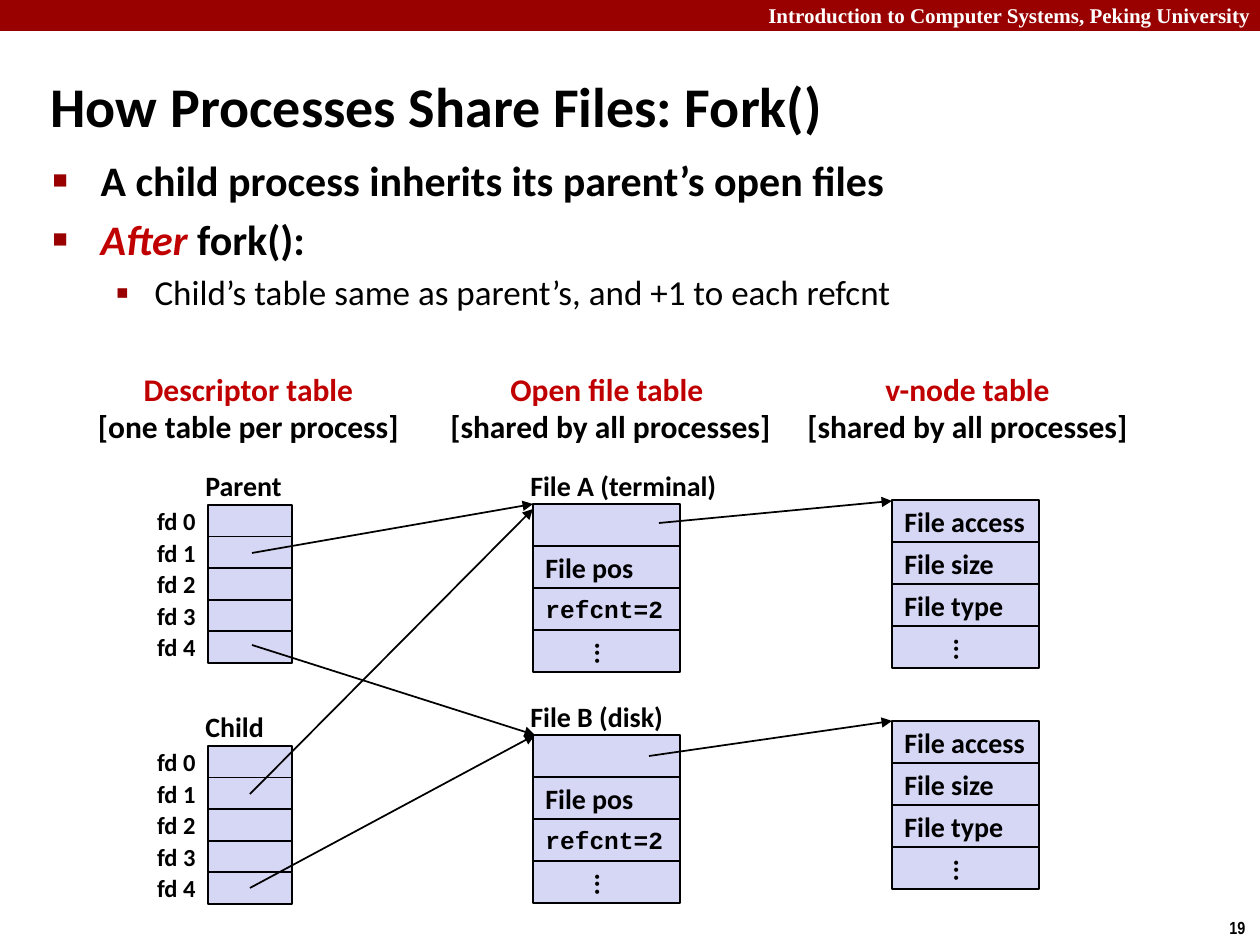
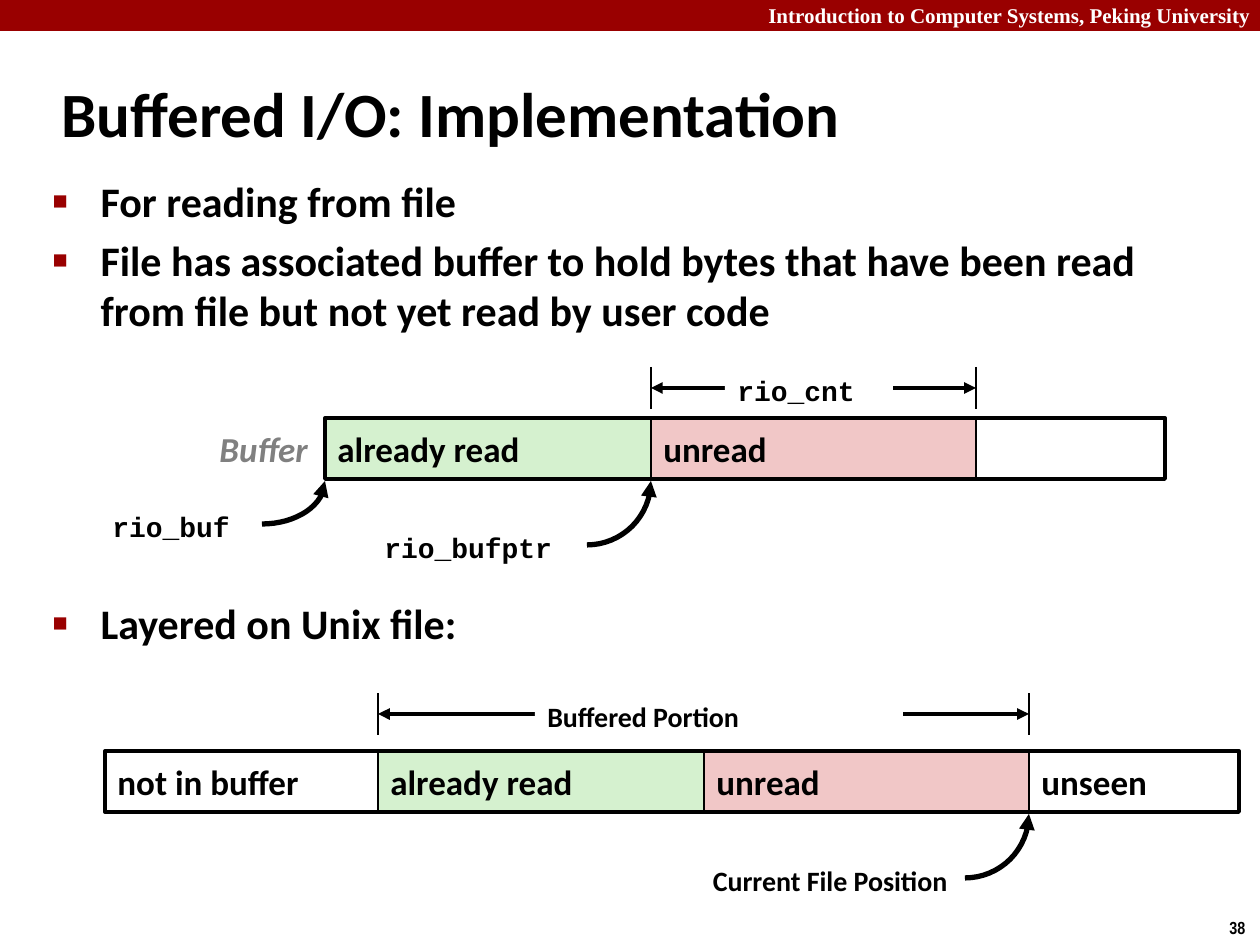
from math import cos, pi, sin

from lxml import etree
from pptx import Presentation
from pptx.dml.color import RGBColor
from pptx.enum.shapes import MSO_CONNECTOR, MSO_SHAPE
from pptx.enum.text import MSO_ANCHOR, MSO_AUTO_SIZE, PP_ALIGN
from pptx.oxml.ns import qn
from pptx.util import Emu, Pt

RECT = MSO_SHAPE.RECTANGLE
LINE = MSO_CONNECTOR.STRAIGHT
LEFT, MID, RIGHT = PP_ALIGN.LEFT, PP_ALIGN.CENTER, PP_ALIGN.RIGHT
TOP, CENTER = MSO_ANCHOR.TOP, MSO_ANCHOR.MIDDLE
FIXED = MSO_AUTO_SIZE.NONE

BLACK = RGBColor(0x00, 0x00, 0x00)
WHITE = RGBColor(0xFF, 0xFF, 0xFF)
GRAY = RGBColor(0x80, 0x80, 0x80)
MAROON = RGBColor(0x99, 0x00, 0x00)
RED = RGBColor(0xC0, 0x00, 0x00)
LILAC = RGBColor(0xD6, 0xD6, 0xF5)
GREEN = RGBColor(0xD5, 0xF1, 0xCF)
PINK = RGBColor(0xF1, 0xC7, 0xC7)

SANS, MONO = "Calibri", "Courier New"
SERIF, SMALL = "Times New Roman", "Arial Narrow"

# Bullet per level: sign, size in percent, left indent, hanging indent, point size
BULLETS = [("■", 60, 48, 48, 24), ("▪", 110, 102, 39, 20)]


def px(n):
    return Emu(round(n * 914400 / 126))


def place(shape, box):
    shape.left, shape.top, shape.width, shape.height = map(px, box)


def style(run, size, color=BLACK, font=SANS, bold=True, italic=False):
    run.font.size = Pt(size)
    run.font.name = font
    run.font.bold = bold
    run.font.italic = italic
    run.font.color.rgb = color


def write(shape, text, size, color=BLACK, font=SANS, align=LEFT, anchor=CENTER,
          italic=False):
    frame = shape.text_frame
    frame.text = text
    frame.word_wrap = False
    frame.vertical_anchor = anchor
    for para in frame.paragraphs:
        para.alignment = align
        for run in para.runs:
            style(run, size, color, font, italic=italic)
    return frame


def label(slide, box, text, size=16, **look):
    return write(slide.shapes.add_textbox(*map(px, box)), text, size, **look)


def block(slide, box, fill=None, width=1):
    shape = slide.shapes.add_shape(RECT, *map(px, box))
    shape.shadow.inherit = False
    if fill is None:
        shape.fill.background()
    else:
        shape.fill.solid()
        shape.fill.fore_color.rgb = fill
    if width:
        shape.line.color.rgb = BLACK
        shape.line.width = Pt(width)
    else:
        shape.line.fill.background()
    return shape


def tips(shape, *ends):
    ln = shape._element.spPr.find(qn("a:ln"))
    for end in ends:
        etree.SubElement(ln, qn("a:" + end), type="triangle")


def line(slide, start, end, width=1, ends=()):
    link = slide.shapes.add_connector(LINE, *map(px, start + end))
    link.line.color.rgb = BLACK
    link.line.width = Pt(width)
    tips(link, *ends)
    etree.SubElement(link._element.spPr, qn("a:effectLst"))


# Parts shared by all slides
def base(deck, number, title, box, size):
    slide = deck.slides.add_slide(deck.slide_layouts[1])
    block(slide, (0, 0, 1260, 31), MAROON, 0)
    head = label(slide, (756, -4, 504, 38),
                 "Introduction to Computer Systems, Peking University", 12,
                 color=WHITE, font=SERIF, anchor=TOP)
    head.margin_right = 0
    label(slide, (1217, 911, 43, 34), str(number), 10, font=SMALL, anchor=TOP)
    place(slide.shapes.title, box)
    frame = write(slide.shapes.title, title, size)
    frame.word_wrap = True
    frame.auto_size = FIXED
    return slide


def bullet(para, level):
    sign, size, left, hang, _ = BULLETS[level]
    props = para._p.get_or_add_pPr()
    props.set("marL", str(px(left)))
    props.set("indent", str(-px(hang)))
    color = etree.SubElement(props, qn("a:buClr"))
    etree.SubElement(color, qn("a:srgbClr"), val=str(MAROON))
    etree.SubElement(props, qn("a:buSzPct"), val=str(size * 1000))
    etree.SubElement(props, qn("a:buChar"), char=sign)


def body(slide, box, items):
    """Each item is level, space before in points, accent text, plain text."""
    holder = slide.placeholders[1]
    place(holder, box)
    frame = holder.text_frame
    frame.auto_size = FIXED
    frame.vertical_anchor = TOP
    for i, (level, gap, accent, text) in enumerate(items):
        para = frame.add_paragraph() if i else frame.paragraphs[0]
        para.level = level
        para.space_before = Pt(gap)
        bullet(para, level)
        size = BULLETS[level][-1]
        if accent:
            run = para.add_run()
            run.text = accent
            style(run, size, RED, italic=True)
        run = para.add_run()
        run.text = text
        style(run, size, bold=level == 0)


# Slide with descriptor, open file and v-node tables
def stack(slide, box, rows):
    x, y, w, h = box
    step = h / len(rows)
    for i, text in enumerate(rows):
        cell = block(slide, (x, y + i * step, w, step), LILAC)
        if text.startswith("refcnt"):
            write(cell, text, 14, font=MONO)
        elif text:
            write(cell, text, 16)
        if text == "...":
            cell.text_frame._txBody.bodyPr.set("vert", "eaVert")


def process(slide, x, y, name, up):
    label(slide, (x - 15, y - up, 102, 47), name)
    stack(slide, (x, y, 84, 158), [""] * 5)
    for i in range(5):
        label(slide, (x - 84, y + i * 31.5, 84, 31.5), f"fd {i}", 14, align=RIGHT)


def entry(slide, x, y, name, width):
    label(slide, (x - 15, y - 42, width, 47), name)
    stack(slide, (x, y, 147, 168), ["", "File pos", "refcnt=2", "..."])


def fork(deck):
    slide = base(deck, 19, "How Processes Share Files: Fork()",
                 (38, 53, 1046, 105), 32)
    body(slide, (40, 148, 1145, 179), [
        (0, 0, "", "A child process inherits its parent’s open files"),
        (0, 5, "After", " fork():"),
        (1, 4, "", "Child’s table same as parent’s, and +1 to each refcnt"),
    ])
    # Column heads
    heads = [(84, 329, "Descriptor table", "[one table per process]"),
             (436, 349, "Open file table ", "[shared by all processes]"),
             (793, 349, "v-node table", "[shared by all processes]")]
    for x, w, name, note in heads:
        frame = label(slide, (x, 363, w, 89), f"{name}\n{note}", 18, align=MID)
        frame.paragraphs[0].runs[0].font.color.rgb = RED
    # Tables
    process(slide, 208, 505, "Parent", 43)
    process(slide, 208, 746, "Child", 43)
    entry(slide, 533, 504, "File A (terminal)", 213)
    entry(slide, 533, 735, "File B (disk)", 160)
    for y in (500, 721):
        stack(slide, (892, y, 147, 168),
              ["File access", "File size", "File type", "..."])
    # Pointers
    links = [((252, 553), (533, 504)), ((252, 645), (535, 735)),
             ((250, 794), (533, 509)), ((250, 888), (535, 735)),
             ((659, 523), (892, 501)), ((649, 756), (892, 721))]
    for start, end in links:
        line(slide, start, end, ends=["tailEnd"])


# Slide with the buffer and the file below it
def strip(slide, box, cells):
    x, y, w, h = box
    left = x
    for text, wide, fill in cells:
        cell = block(slide, (left, y, wide, h), fill, 1.5)
        write(cell, text, 20)
        left += wide
    block(slide, box, width=2.25)


def span(slide, left, right, y, text, box, font):
    for x in (left, right):
        line(slide, (x, y), (x, y + 42), 1.5)
    line(slide, (left, y + 21), (right, y + 21), 2.25, ["headEnd", "tailEnd"])
    write(block(slide, box, WHITE, 0), text, 16, font=font, anchor=TOP)


def curve(slide, x, y, w, h, steps=16):
    """Quarter arc with its arrow tip at x, y and its tail down to the left."""
    turns = [pi / 2 * i / steps for i in range(steps + 1)]
    points = [(px(x - w + w * cos(t)), px(y + h * sin(t))) for t in turns]
    path = slide.shapes.build_freeform(*points[0])
    path.add_line_segments(points[1:], close=False)
    shape = path.convert_to_shape()
    shape.shadow.inherit = False
    shape.fill.background()
    shape.line.color.rgb = BLACK
    shape.line.width = Pt(3)
    tips(shape, "headEnd")


def buffered(deck):
    slide = base(deck, 38, "Buffered I/O: Implementation",
                 (49, 60, 1046, 105), 36)
    body(slide, (40, 169, 1145, 546), [
        (0, 0, "", "For reading from file"),
        (0, 5, "", "File has associated buffer to hold bytes that have been read "
                   "from file but not yet read by user code"),
        (0, 150, "", "Layered on Unix file:"),
    ])
    # Buffer
    strip(slide, (325, 418, 840, 61),
          [("already read", 326, GREEN), ("unread", 325, PINK)])
    label(slide, (207, 421, 117, 55), "Buffer", 20, color=GRAY, anchor=TOP,
          italic=True)
    span(slide, 651, 976, 367, "rio_cnt", (725, 367, 168, 43), MONO)
    curve(slide, 325, 481, 63, 43)
    curve(slide, 651, 481, 64, 64)
    label(slide, (100, 503, 144, 43), "rio_buf", font=MONO, anchor=TOP)
    label(slide, (372, 524, 221, 43), "rio_bufptr", font=MONO, anchor=TOP)
    # File
    strip(slide, (105, 751, 1134, 61),
          [("not in buffer", 273, WHITE), ("already read", 326, GREEN),
           ("unread", 325, PINK), ("unseen", 210, WHITE)])
    span(slide, 378, 1029, 693, "Buffered Portion", (535, 693, 368, 47), SANS)
    curve(slide, 1029, 814, 64, 64)
    label(slide, (603, 857, 357, 47), "Current File Position", align=RIGHT,
          anchor=TOP)


def main():
    deck = Presentation()
    deck.slide_width, deck.slide_height = px(1260), px(945)
    fork(deck)
    buffered(deck)
    deck.save("out.pptx")


if __name__ == "__main__":
    main()
